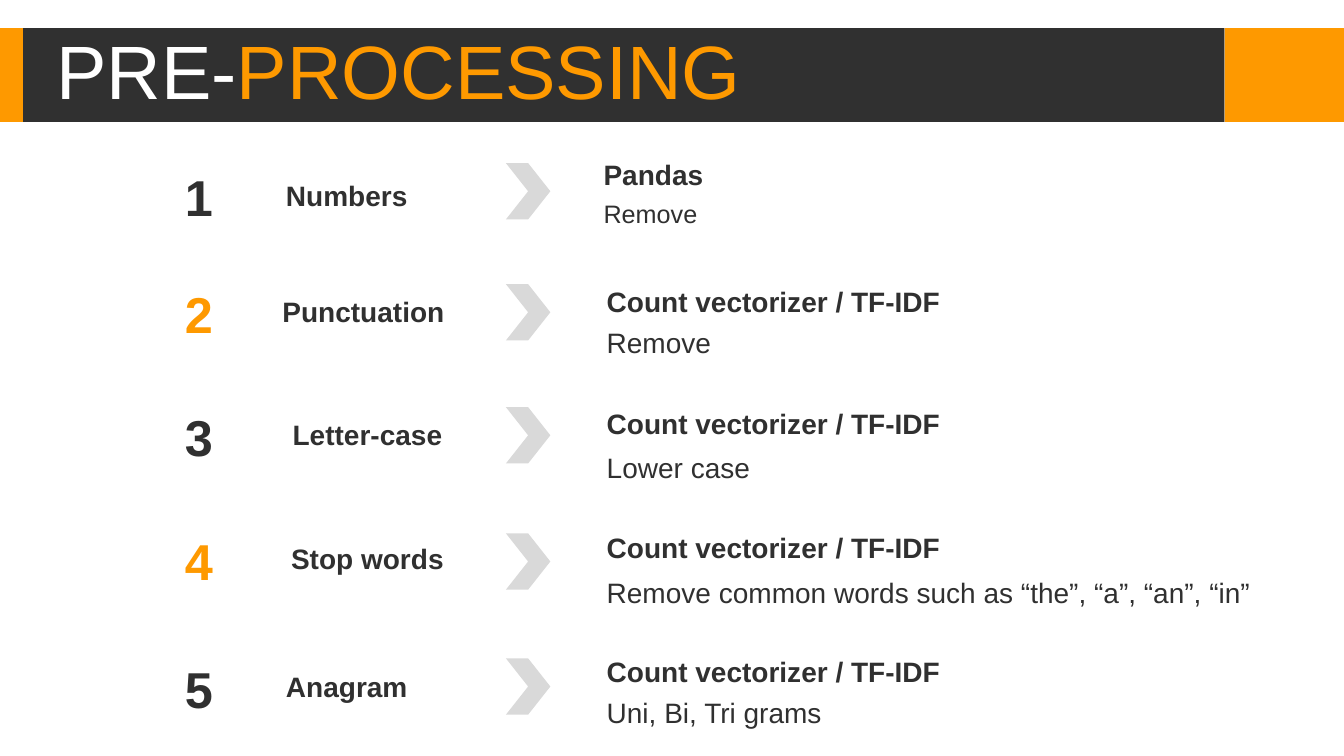
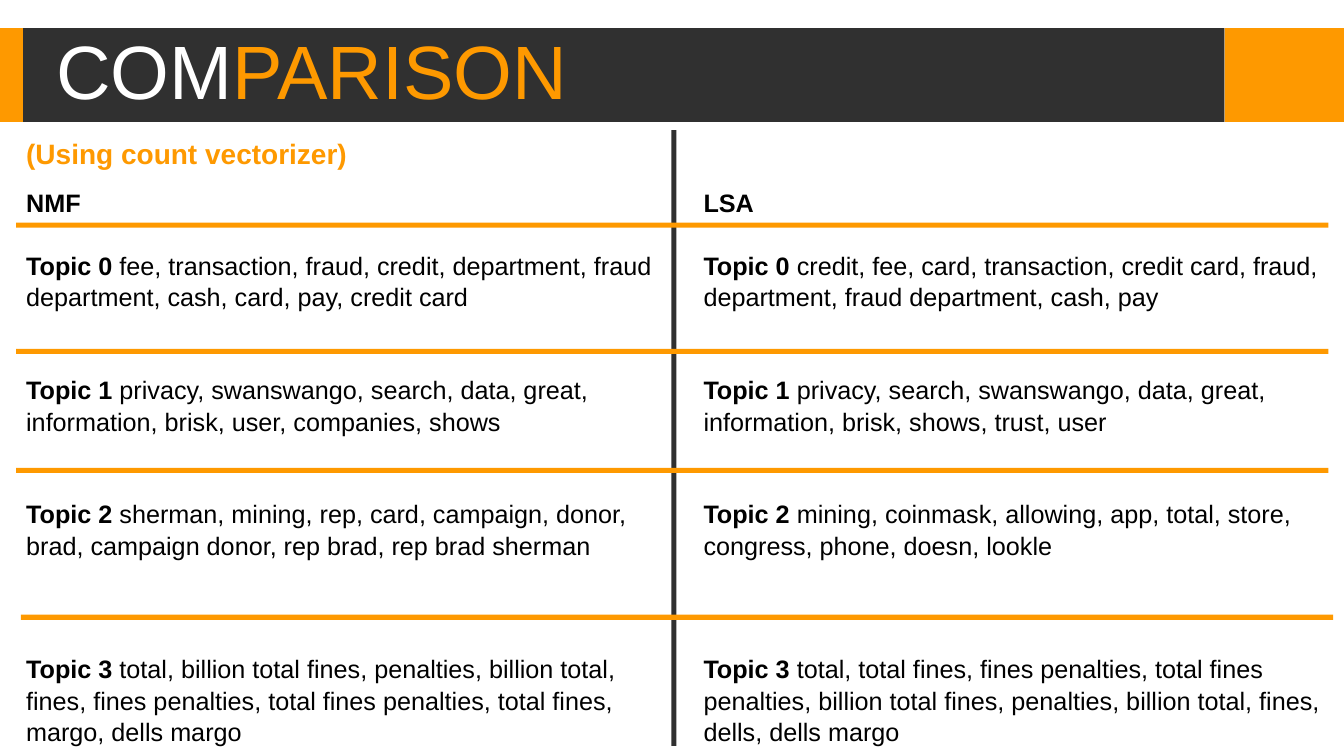
from dataclasses import dataclass

from pptx import Presentation
from pptx.dml.color import RGBColor
from pptx.enum.shapes import MSO_SHAPE
from pptx.enum.text import MSO_ANCHOR, PP_ALIGN
from pptx.util import Cm, Pt

FONT = "Arial"
ORANGE = "FE9900"
DARK = "303030"
GREY = "D9D9D9"
WHITE = "FFFFFF"
BLACK = "000000"

PAGE_WIDTH, PAGE_HEIGHT = 33.87, 19.05
BAND_TOP, BAND_HEIGHT = 0.71, 2.36
LINE_SPACING = 1.05
TOPIC_SIZE = 18
TOPIC_LINE = 21.7  # points from one line to the next


@dataclass
class Step:
    label: str
    label_width: float
    heading: str
    detail: str
    top: float
    chevron_top: float
    heading_top: float
    detail_top: float
    detail_left: float = 15.04
    detail_size: int = 20


VECTORIZER = "Count vectorizer / TF-IDF"
STEPS = [
    Step("Numbers", 3.96, "Pandas", "Remove",
         3.99, 4.11, 3.81, 4.83, detail_left=14.96, detail_size=18),
    Step("Punctuation", 4.8, VECTORIZER, "Remove", 6.93, 7.16, 6.99, 8.03),
    Step("Letter-case", 5, VECTORIZER, "Lower case", 10.03, 10.26, 10.08, 11.18),
    Step("Stop words", 5, VECTORIZER,
         "Remove common words such as “the”, “a”, “an”, “in”",
         13.16, 13.44, 13.21, 14.33),
    Step("Anagram", 3.96, VECTORIZER, "Uni, Bi, Tri grams",
         16.38, 16.59, 16.33, 17.37),
]

BLANK_LINES_ABOVE_TOPIC = [1, 2, 2, 3]
MODELS = {
    "NMF": [
        "fee, transaction, fraud, credit, department, fraud department, cash, "
        "card, pay, credit card",
        "privacy, swanswango, search, data, great, information, brisk, user, "
        "companies, shows",
        "sherman, mining, rep, card, campaign, donor, brad, campaign donor, "
        "rep brad, rep brad sherman",
        "total, billion total fines, penalties, billion total, fines, "
        "fines penalties, total fines penalties, total fines, margo, dells margo",
    ],
    "LSA": [
        "credit, fee, card, transaction, credit card, fraud, department, "
        "fraud department, cash, pay",
        "privacy, search, swanswango, data, great, information, brisk, shows, "
        "trust, user",
        "mining, coinmask, allowing, app, total, store, congress, phone, doesn, "
        "lookle",
        "total, total fines, fines penalties, total fines penalties, "
        "billion total fines, penalties, billion total, fines, dells, dells margo",
    ],
}


def rgb(value):
    return RGBColor.from_string(value)


def add_block(shapes, kind, left, top, width, height, color):
    """Add a filled preset shape without outline or shadow."""
    block = shapes.add_shape(kind, Cm(left), Cm(top), Cm(width), Cm(height))
    block.shadow.inherit = False
    block.fill.solid()
    block.fill.fore_color.rgb = rgb(color)
    block.line.fill.background()


def add_box(shapes, left, top, width, height):
    """Add an empty wrapping text box and return its text frame."""
    frame = shapes.add_textbox(Cm(left), Cm(top), Cm(width), Cm(height)).text_frame
    frame.word_wrap = True
    return frame


def add_span(para, text, size, color, bold=False):
    span = para.add_run()
    span.text = text
    span.font.name = FONT
    span.font.size = Pt(size)
    span.font.bold = bold
    span.font.color.rgb = rgb(color)


def add_line(shapes, left, top, width, height, text, size, color,
             bold=False, align=PP_ALIGN.LEFT):
    """Add a text box that holds a single line."""
    para = add_box(shapes, left, top, width, height).paragraphs[0]
    para.alignment = align
    para.line_spacing = LINE_SPACING
    add_span(para, text, size, color, bold)


def add_page(deck, title_start, title_end):
    """Add a blank slide with the title band and its two-coloured title."""
    page = deck.slides.add_slide(deck.slide_layouts[6])
    for left, right, color in [(30.86, PAGE_WIDTH, ORANGE),
                               (0, 30.86, DARK), (0, 0.58, ORANGE)]:
        add_block(page.shapes, MSO_SHAPE.RECTANGLE,
                  left, BAND_TOP, right - left, BAND_HEIGHT, color)
    frame = add_box(page.shapes, 1.17, 0.89, 24.64, 2.01)
    frame.vertical_anchor = MSO_ANCHOR.MIDDLE
    para = frame.paragraphs[0]
    para.line_spacing = 0.9
    add_span(para, title_start, 54, WHITE)
    add_span(para, title_end, 54, ORANGE)
    return page


def add_step(page, number, step):
    shapes = page.shapes
    add_line(shapes, 3.89, step.top, 2.24, 1.8, str(number), 36,
             DARK if number % 2 else ORANGE, True, PP_ALIGN.CENTER)
    add_line(shapes, 6.76, step.top + 0.33, step.label_width, 1.12, step.label,
             20, DARK, True, PP_ALIGN.CENTER)
    add_block(shapes, MSO_SHAPE.CHEVRON, 12.75, step.chevron_top, 1.12, 1.42, GREY)
    group = shapes.add_group_shape().shapes
    add_line(group, step.detail_left, step.detail_top, 17.2, 1.12,
             step.detail, step.detail_size, DARK)
    add_line(group, step.detail_left, step.heading_top, 17.2, 1.12,
             step.heading, 20, DARK, True)


def add_model_column(page, left, top, width, height, model, topics):
    """Add a model name followed by its numbered topics."""
    frame = add_box(page.shapes, left, top, width, height)
    heading = frame.paragraphs[0]
    heading.line_spacing = LINE_SPACING
    add_span(heading, model, TOPIC_SIZE, BLACK, True)
    for number, (words, blanks) in enumerate(zip(topics, BLANK_LINES_ABOVE_TOPIC)):
        para = frame.add_paragraph()
        para.line_spacing = LINE_SPACING
        para.space_before = Pt(blanks * TOPIC_LINE)
        add_span(para, f"Topic {number} ", TOPIC_SIZE, BLACK, True)
        add_span(para, words, TOPIC_SIZE, BLACK)


def build_preprocessing(deck):
    page = add_page(deck, "PRE-", "PROCESSING")
    for number, step in enumerate(STEPS, 1):
        add_step(page, number, step)


def build_comparison(deck):
    page = add_page(deck, "COM", "PARISON")
    add_block(page.shapes, MSO_SHAPE.RECTANGLE, 16.92, 3.28, 0.13, 15.52, DARK)
    for left, (model, topics) in zip([0.41, 17.48], MODELS.items()):
        add_model_column(page, left, 4.57, 16.94, 14.1, model, topics)
    for left, top in [(0.41, 5.61), (0.41, 8.79), (0.41, 11.79), (0.53, 15.49)]:
        add_block(page.shapes, MSO_SHAPE.RECTANGLE, left, top, 33.07, 0.13, ORANGE)
    add_line(page.shapes, 0.41, 3.28, 15.8, 1.12,
             "(Using count vectorizer)", 20, ORANGE, True)


def main():
    deck = Presentation()
    deck.slide_width, deck.slide_height = Cm(PAGE_WIDTH), Cm(PAGE_HEIGHT)
    build_preprocessing(deck)
    build_comparison(deck)
    deck.save("out.pptx")


if __name__ == "__main__":
    main()
